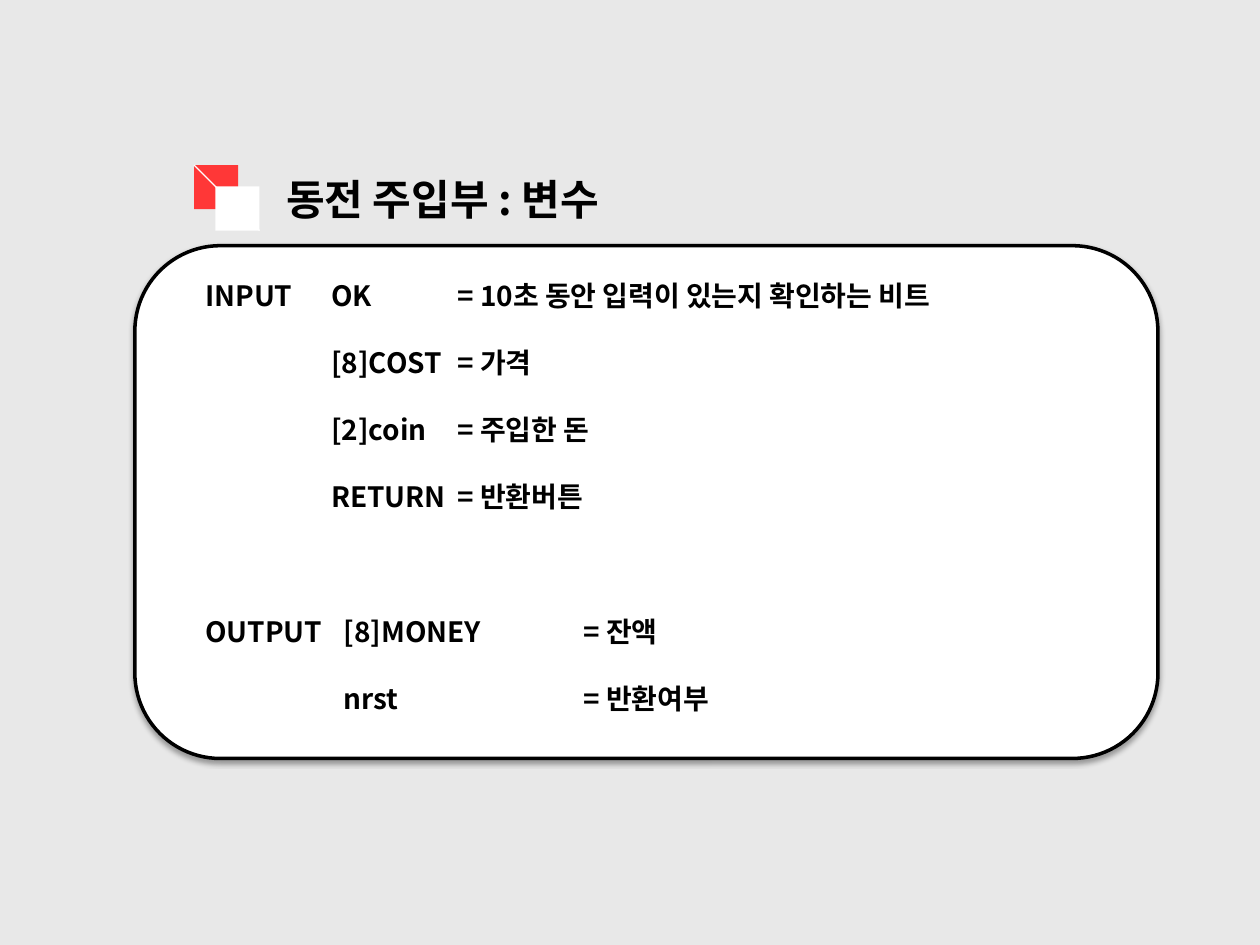
from lxml.etree import SubElement
from pptx import Presentation
from pptx.dml.color import RGBColor
from pptx.enum.shapes import MSO_CONNECTOR as Connector, MSO_SHAPE as Shape
from pptx.enum.text import MSO_ANCHOR as Anchor, PP_ALIGN as Align
from pptx.oxml.ns import qn
from pptx.util import Inches, Pt

BLACK = RGBColor(0x00, 0x00, 0x00)
WHITE = RGBColor(0xFF, 0xFF, 0xFF)
RED = RGBColor(0xFF, 0x37, 0x37)
GREY = RGBColor(0xE8, 0xE8, 0xE8)
FONT = "Noto Sans CJK KR"
LINE_PITCH = 19.2
INPUT_TABS = (1, 2)
OUTPUT_TABS = (1.1, 3)
VARIABLES = [
    ("INPUT\tOK\t= 10초 동안 입력이 있는지 확인하는 비트", INPUT_TABS, 0),
    ("\t[8]COST\t= 가격", INPUT_TABS, 1),
    ("\t[2]coin\t= 주입한 돈", INPUT_TABS, 1),
    ("\tRETURN\t= 반환버튼", INPUT_TABS, 1),
    ("OUTPUT\t[8]MONEY\t= 잔액", OUTPUT_TABS, 3),
    ("\tnrst\t= 반환여부", OUTPUT_TABS, 1),
]


def add_span(para, text, size):
    """Add one bold black run in the slide's font."""
    span = para.add_run()
    span.text = text
    font = span.font
    font.size, font.bold, font.name = Pt(size), True, FONT
    font.color.rgb = BLACK
    SubElement(font._element, qn("a:ea"), typeface=FONT)


def set_frame(frame, wrap, anchor):
    """Set the margins, wrapping and anchor of a text frame."""
    frame.margin_left = frame.margin_right = Inches(0.05)
    frame.margin_top = frame.margin_bottom = Inches(0.05)
    frame.word_wrap = wrap
    frame.vertical_anchor = anchor


def add_block(page, kind, left, top, width, height, fill):
    """Add a filled shape without line or shadow."""
    block = page.shapes.add_shape(
        kind, Inches(left), Inches(top), Inches(width), Inches(height))
    block.shadow.inherit = False
    block.fill.solid()
    block.fill.fore_color.rgb = fill
    block.line.fill.background()
    return block


def add_panel(page, left, top, width, height):
    """Add the outlined white panel with its soft shadow."""
    panel = add_block(page, Shape.ROUNDED_RECTANGLE, left, top, width, height, WHITE)
    panel.line.color.rgb = BLACK
    panel.line.width = Pt(2)
    effects = panel._element.spPr.find(qn("a:effectLst"))
    shadow = SubElement(effects, qn("a:outerShdw"), blurRad=str(Pt(3)),
                        dist=str(Pt(1.8)), dir="5400000", rotWithShape="0")
    color = SubElement(shadow, qn("a:srgbClr"), val=str(BLACK))
    SubElement(color, qn("a:alpha"), val="35000")


def add_emblem(page, left, top, size):
    """Add two overlapping squares crossed by a diagonal line."""
    side, step = 0.35, size - 0.35
    add_block(page, Shape.RECTANGLE, left, top, side, side, RED)
    add_block(page, Shape.RECTANGLE, left + step, top + step, side, side, WHITE)
    diagonal = page.shapes.add_connector(
        Connector.STRAIGHT, Inches(left), Inches(top),
        Inches(left + size), Inches(top + size))
    diagonal.line.color.rgb = WHITE
    diagonal.line.width = Pt(0.75)
    SubElement(diagonal._element.spPr, qn("a:effectLst"))


def set_title(page, left, top, width, height):
    """Place and fill the title placeholder."""
    title = page.shapes.title
    title.left, title.top = Inches(left), Inches(top)
    title.width, title.height = Inches(width), Inches(height)
    set_frame(title.text_frame, False, Anchor.MIDDLE)
    para = title.text_frame.paragraphs[0]
    para.alignment = Align.LEFT
    add_span(para, "동전 주입부 : 변수", 24)


def add_variables(page, left, top, width, height):
    """List the input and output variables in tabbed columns."""
    box = page.shapes.add_textbox(
        Inches(left), Inches(top), Inches(width), Inches(height))
    frame = box.text_frame
    set_frame(frame, True, Anchor.TOP)
    for index, (text, stops, gap) in enumerate(VARIABLES):
        para = frame.add_paragraph() if index else frame.paragraphs[0]
        para.line_spacing = Pt(LINE_PITCH)
        para.space_before = Pt(LINE_PITCH * gap)
        tabs = SubElement(para._p.get_or_add_pPr(), qn("a:tabLst"))
        for stop in stops:
            SubElement(tabs, qn("a:tab"), pos=str(Inches(stop)), algn="l")
        add_span(para, text, 16)


def main():
    """Build the slide and save it."""
    deck = Presentation()
    deck.slide_width, deck.slide_height = Inches(10), Inches(7.5)
    page = deck.slides.add_slide(deck.slide_layouts[5])
    page.background.fill.solid()
    page.background.fill.fore_color.rgb = GREY
    add_panel(page, 1.07, 1.95, 8.12, 4.07)
    add_emblem(page, 1.54, 1.31, 0.52)
    set_title(page, 2.22, 1.33, 2.9, 0.5)
    add_variables(page, 1.58, 2.16, 7.33, 3.75)
    deck.save("out.pptx")


if __name__ == "__main__":
    main()
